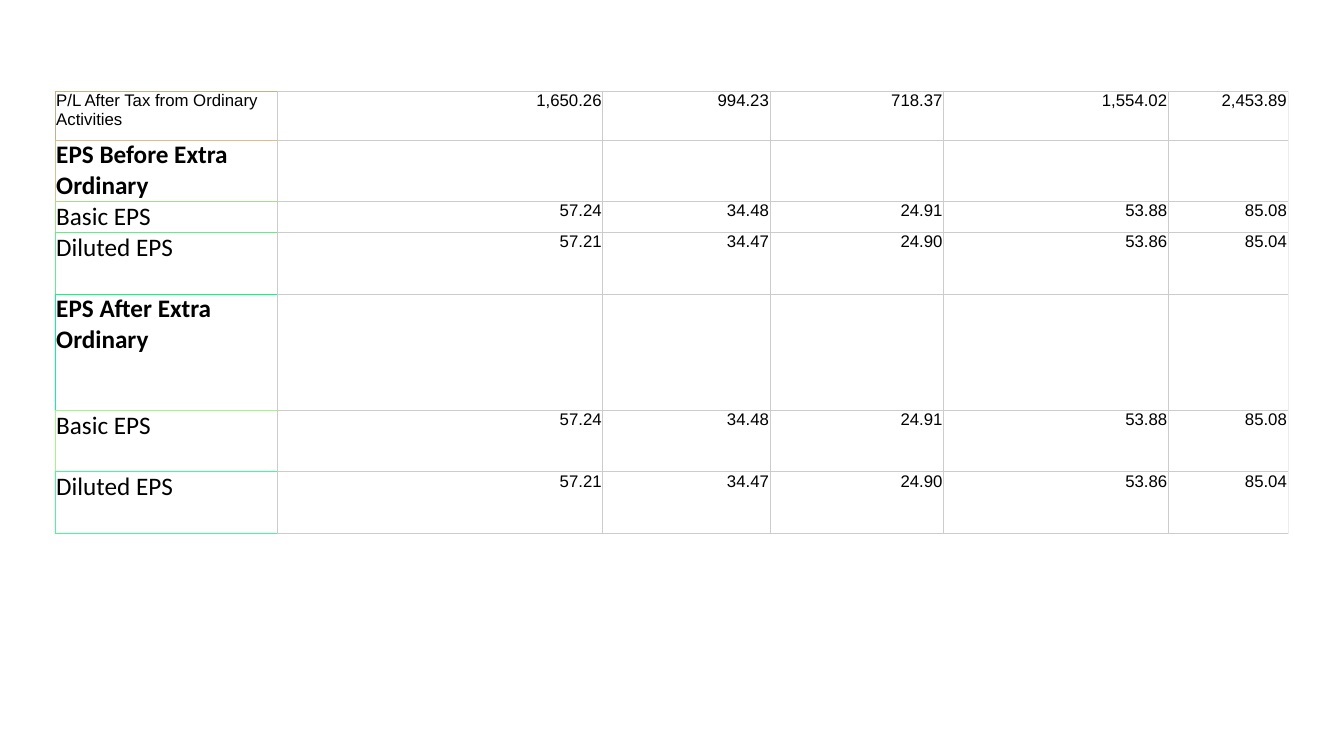
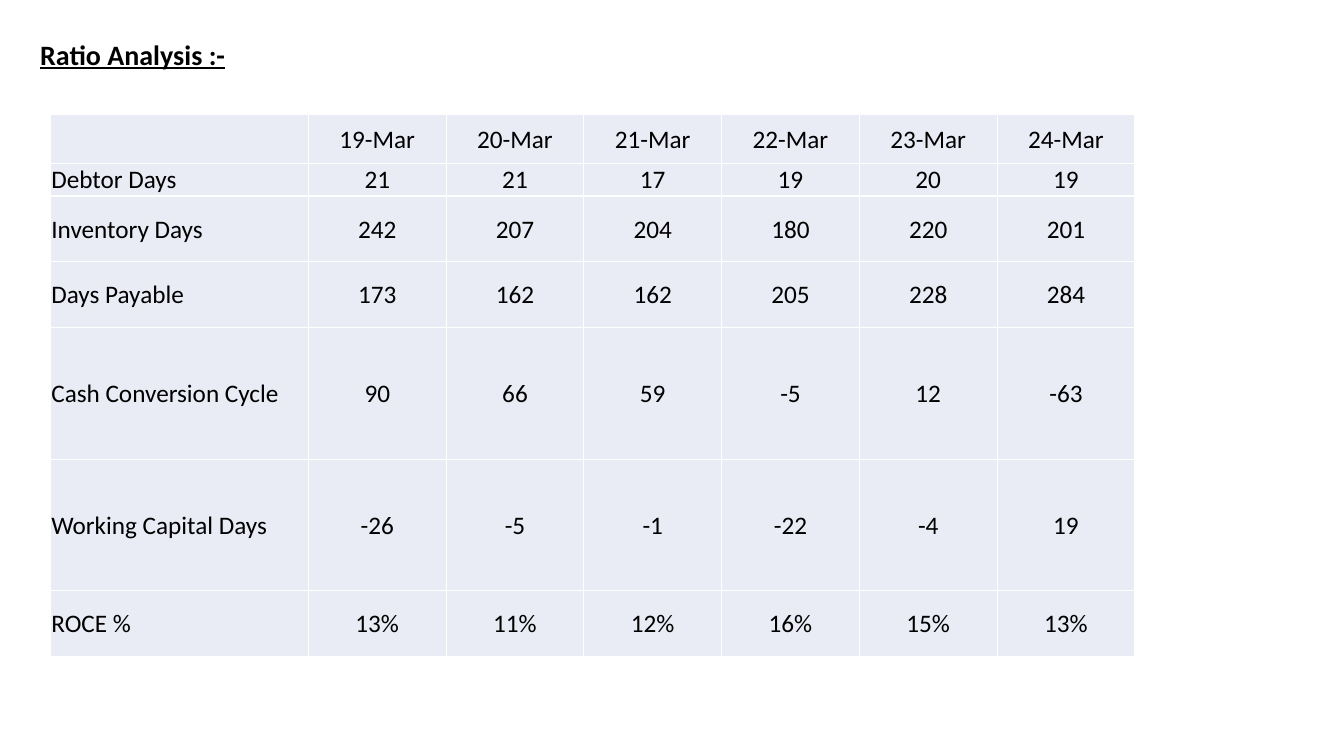
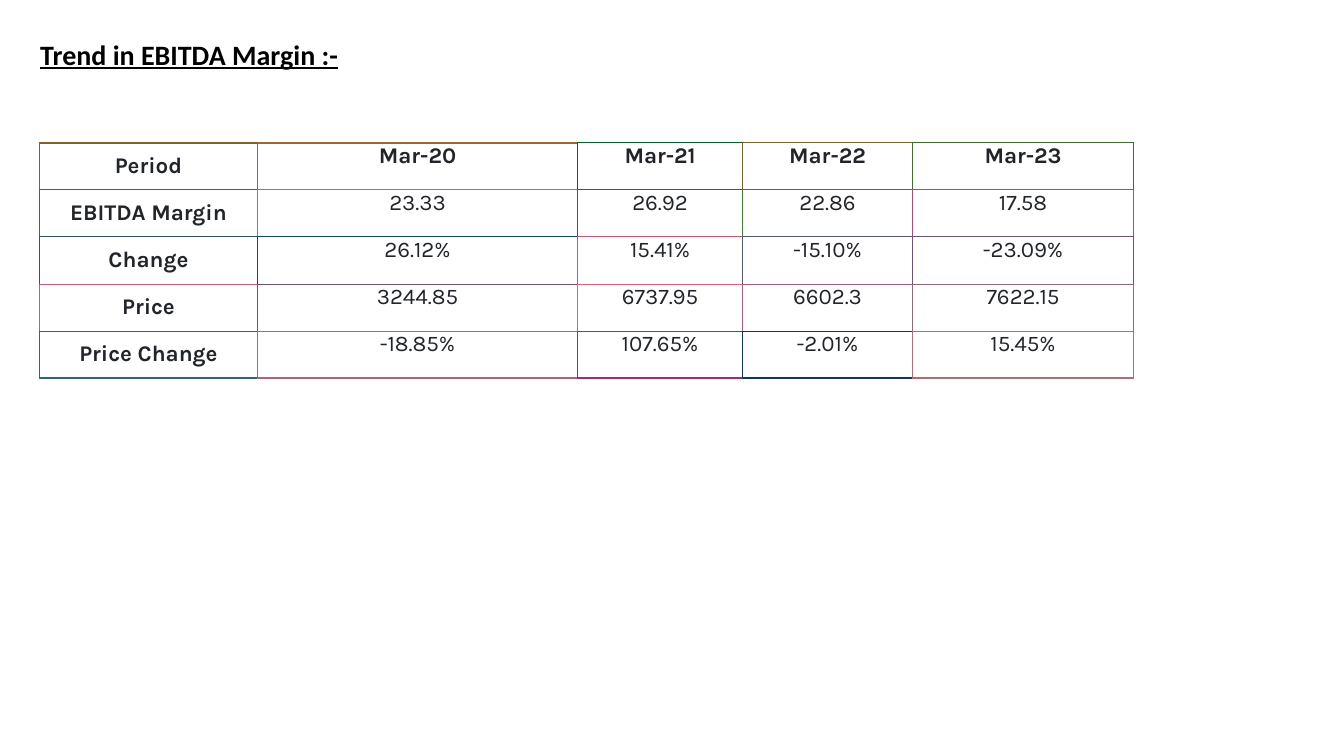
import pptx
import pptx.util
import pptx.dml.color
import pptx.enum.text
import pptx.oxml
import pptx.oxml.ns

Pt = pptx.util.Pt
Align = pptx.enum.text.PP_ALIGN
Anchor = pptx.enum.text.MSO_ANCHOR

# Colours
HUES = {"ink": "000000", "slate": "212529", "paper": "FFFFFF", "tint": "E9EBF5",
        "rule": "CCCCCC", "pale": "EDEDED"}

# Border hues: each cell owns its left and top lines
SIDE = ["C0B486", "E0BD86", "A0E386", "60EF86", "00FD86", "A0F786", "40FE86"]
MESH = [
    ["80602D", "A0672D", "00652D", "80622D", "406D2D"],
    ["406D2D", "C0722D", "20732D", "407C2D", "B04A72"],
    ["304F72", "104A72", "D05372", "505872", "705272"],
    ["D05772", "705272", "F05A72", "B05C72", "906972"],
    ["306672", "B06372", "B02572", "103472", "B06D72"],
]

# Text formats
TITLE = {"name": "Calibri", "size": Pt(20), "bold": True, "underline": True}
BODY = {"name": "Calibri", "size": Pt(18), "bold": False}
GROUP = {**BODY, "bold": True}
SMALL = {"name": "Arial", "size": Pt(12), "bold": False}
PLAIN = {"name": "Karla", "size": Pt(16), "bold": False}
STRONG = {**PLAIN, "bold": True}

# Content
BASIC = ["Basic EPS", "57.24", "34.48", "24.91", "53.88", "85.08"]
DILUTED = ["Diluted EPS", "57.21", "34.47", "24.90", "53.86", "85.04"]
BLANK = [""] * 5
PROFIT = [
    ["P/L After Tax from Ordinary Activities",
     "1,650.26", "994.23", "718.37", "1,554.02", "2,453.89"],
    ["EPS Before Extra\nOrdinary", *BLANK],
    BASIC,
    DILUTED,
    ["EPS After Extra\nOrdinary", *BLANK],
    BASIC,
    DILUTED,
]
RATIOS = [
    ["", "19-Mar", "20-Mar", "21-Mar", "22-Mar", "23-Mar", "24-Mar"],
    ["Debtor Days", "21", "21", "17", "19", "20", "19"],
    ["Inventory Days", "242", "207", "204", "180", "220", "201"],
    ["Days Payable", "173", "162", "162", "205", "228", "284"],
    ["Cash Conversion Cycle", "90", "66", "59", "-5", "12", "-63"],
    ["Working Capital Days", "-26", "-5", "-1", "-22", "-4", "19"],
    ["ROCE %", "13%", "11%", "12%", "16%", "15%", "13%"],
]
TREND = [
    ["Period", "Mar-20", "Mar-21", "Mar-22", "Mar-23"],
    ["EBITDA Margin", "23.33", "26.92", "22.86", "17.58"],
    ["Change", "26.12%", "15.41%", "-15.10%", "-23.09%"],
    ["Price", "3244.85", "6737.95", "6602.3", "7622.15"],
    ["Price Change", "-18.85%", "107.65%", "-2.01%", "15.45%"],
]


# Format of a cell by its row and column
def profit_font(row, col):
    if col or row == 0:
        return SMALL
    return GROUP if PROFIT[row][0].startswith("EPS") else BODY


def ratio_font(row, col):
    return BODY


def trend_font(row, col):
    return PLAIN if row and col else STRONG


SLIDES = [
    {"title": "", "data": PROFIT, "at": (39.5, 65),
     "cols": [158.5, 232.5, 119.5, 124, 160.5, 85.5],
     "rows": [35, 44, 22, 44, 83, 44, 44],
     "font": profit_font, "ink": "ink", "fill": "paper", "pad": (0.7, 0),
     "align": (Align.LEFT, Align.RIGHT), "anchor": (Anchor.TOP, Anchor.TOP),
     "lines": [[hue] + [HUES["rule"]] * 5 for hue in SIDE],
     "edge": HUES["pale"], "width": 0.6, "thick": {}},
    {"title": "Ratio Analysis :-", "data": RATIOS, "at": (36, 82),
     "cols": [184.3] + [98.4] * 6,
     "rows": [34.5, 23.5, 47, 47, 94, 94, 47],
     "font": ratio_font, "ink": "ink", "fill": "tint", "pad": (0.7, 0.7),
     "align": (Align.LEFT, Align.CENTER), "anchor": (Anchor.MIDDLE, Anchor.MIDDLE),
     "lines": [[HUES["paper"]] * 7] * 7,
     "edge": None, "width": 1, "thick": {}},
    {"title": "Trend in EBITDA Margin :-", "data": TREND, "at": (28.3, 102),
     "cols": [155.5, 229, 117.5, 121.7, 157.7],
     "rows": [33.6] * 5,
     "font": trend_font, "ink": "slate", "fill": "paper", "pad": (2, 0),
     "align": (Align.CENTER, Align.CENTER), "anchor": (Anchor.MIDDLE, Anchor.TOP),
     "lines": MESH, "edge": None, "width": 0.6,
     "thick": {"T": [(0, 0), (0, 1)], "B": [(4, col) for col in range(5)]}},
]


def paint(hue):
    return pptx.dml.color.RGBColor.from_string(hue)


def style(font, form, hue):
    for key, value in form.items():
        setattr(font, key, value)
    font.color.rgb = paint(hue)


def border(cell, lines):
    """Draw the four lines ahead of the cell fill."""
    props = cell._tc.get_or_add_tcPr()
    for spot, (side, hue, width) in enumerate(lines):
        props.insert(spot, pptx.oxml.parse_xml(
            f'<a:ln{side} {pptx.oxml.ns.nsdecls("a")} w="{int(Pt(width))}">'
            f'<a:solidFill><a:srgbClr val="{hue}"/></a:solidFill>'
            f'<a:prstDash val="solid"/></a:ln{side}>'))


def edges(plan, row, col):
    """Right and bottom lines take the hue of the next cell."""
    grid = plan["lines"]
    own = grid[row][col]
    last = col + 1 == len(grid[row])
    right = (plan["edge"] or own) if last else grid[row][col + 1]
    below = own if row + 1 == len(grid) else grid[row + 1][col]
    for side, hue in zip("LRTB", (own, right, own, below)):
        thick = (row, col) in plan["thick"].get(side, [])
        yield side, hue, 1.2 if thick else plan["width"]


def add_title(slide, text):
    box = slide.shapes.add_textbox(Pt(21.6), Pt(23), Pt(480), Pt(31.5))
    frame = box.text_frame
    frame.word_wrap = True
    frame.auto_size = pptx.enum.text.MSO_AUTO_SIZE.SHAPE_TO_FIT_TEXT
    run = frame.paragraphs[0].add_run()
    run.text = text
    style(run.font, TITLE, HUES["ink"])


def fill_cell(cell, text, plan, row, col):
    kind = min(col, 1)
    side, top = plan["pad"]
    form = {"text": text, "vertical_anchor": plan["anchor"][kind],
            "margin_left": Pt(side), "margin_right": Pt(side),
            "margin_top": Pt(top), "margin_bottom": Pt(0)}
    for key, value in form.items():
        setattr(cell, key, value)
    for para in cell.text_frame.paragraphs:
        para.alignment = plan["align"][kind]
        for run in para.runs:
            style(run.font, plan["font"](row, col), HUES[plan["ink"]])
    cell.fill.solid()
    cell.fill.fore_color.rgb = paint(HUES[plan["fill"]])
    border(cell, edges(plan, row, col))


def add_grid(slide, plan):
    cols, rows = plan["cols"], plan["rows"]
    left, top = plan["at"]
    table = slide.shapes.add_table(len(rows), len(cols), Pt(left), Pt(top),
                                   Pt(sum(cols)), Pt(sum(rows))).table
    table.first_row = table.horz_banding = False
    for col, width in zip(table.columns, cols):
        col.width = Pt(width)
    for row, height in zip(table.rows, rows):
        row.height = Pt(height)
    for row, texts in enumerate(plan["data"]):
        for col, text in enumerate(texts):
            fill_cell(table.cell(row, col), text, plan, row, col)


def main():
    deck = pptx.Presentation()
    deck.slide_width, deck.slide_height = Pt(960), Pt(540)
    for plan in SLIDES:
        slide = deck.slides.add_slide(deck.slide_layouts[6])
        if plan["title"]:
            add_title(slide, plan["title"])
        add_grid(slide, plan)
    deck.save("out.pptx")


if __name__ == "__main__":
    main()
